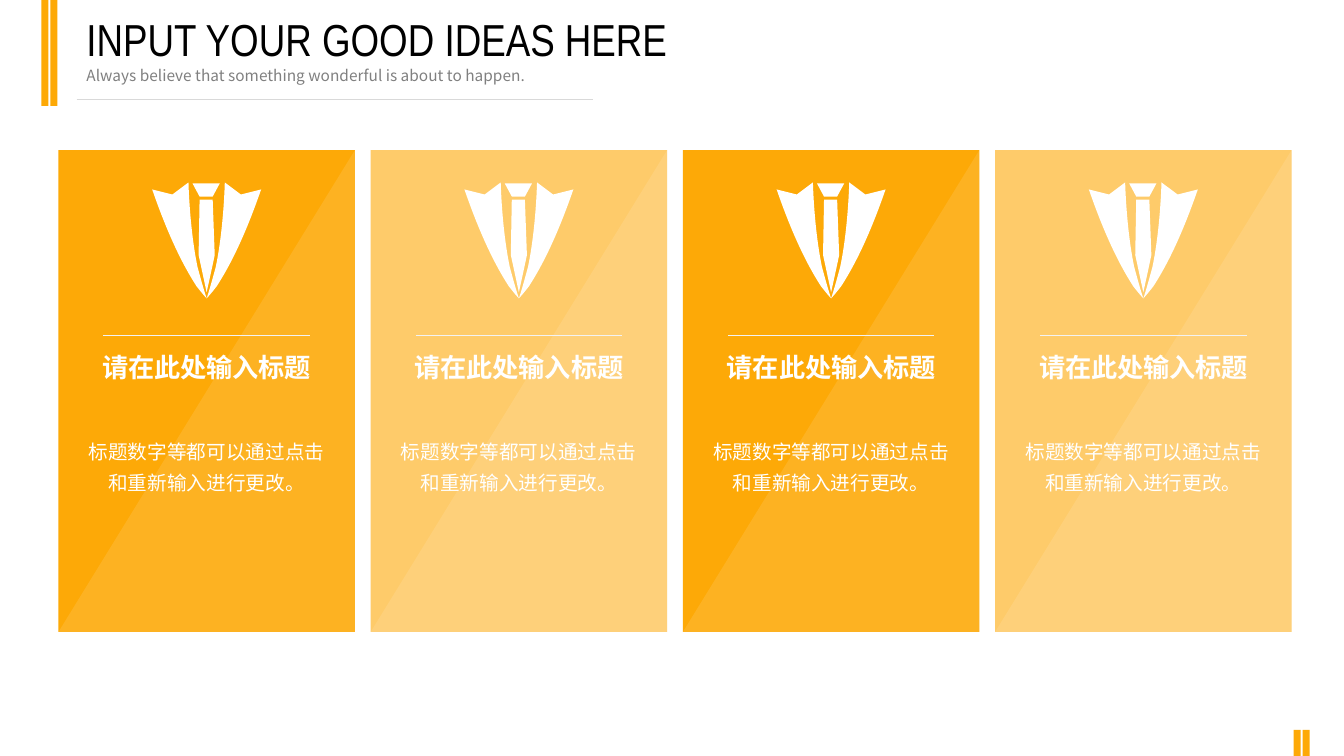
from dataclasses import dataclass

import pptx
import pptx.dml.color
import pptx.enum.shapes
import pptx.enum.text
import pptx.oxml
import pptx.oxml.ns
import pptx.util
from pptx.util import Inches

Point = tuple[float, float]
SHAPES = pptx.enum.shapes.MSO_SHAPE
ALIGN = pptx.enum.text.PP_ALIGN


@dataclass(frozen=True)
class Theme:
    orange: str = "FDA907"
    pale_orange: str = "FECB6A"
    white: str = "FFFFFF"
    card_rule: str = "F2F2F2"
    header_rule: str = "D9D9D9"
    gray: str = "808080"
    black: str = "000000"
    headline_size: float = 32
    tagline_size: float = 11
    card_title_size: float = 18.67
    card_body_size: float = 14
    body_font: str = "Arial"
    headline_font: str = "Arial Narrow"
    tagline_font: str = "Noto Sans CJK SC"


@dataclass(frozen=True)
class Frame:
    left: float
    top: float
    width: float
    height: float


@dataclass(frozen=True)
class TextStyle:
    size: float
    font: str
    color: str
    bold: bool = False
    align: ALIGN = ALIGN.LEFT
    line_spacing: float = 1.0
    space_before: float = 0


@dataclass(frozen=True)
class Card:
    title: str
    body: str
    color: str


THEME = Theme()
CARD_TITLE = TextStyle(THEME.card_title_size, THEME.body_font, THEME.white, True, ALIGN.CENTER)
CARD_BODY = TextStyle(THEME.card_body_size, THEME.body_font, THEME.white, False,
                      ALIGN.CENTER, 1.3, 8)
HEADLINE = TextStyle(THEME.headline_size, THEME.headline_font, THEME.black, space_before=6.4)
TAGLINE = TextStyle(THEME.tagline_size, THEME.tagline_font, THEME.gray, space_before=2.2)

CARDS = [
    Card("请在此处输入标题", "标题数字等都可以通过点击和重新输入进行更改。", color)
    for color in (THEME.orange, THEME.pale_orange) * 2
]
FIRST_LEFT, LAST_LEFT = 0.58, 9.87
CARD_PITCH = (LAST_LEFT - FIRST_LEFT) / (len(CARDS) - 1)
CARD_TOP, CARD_WIDTH, CARD_HEIGHT = 1.49, 2.94, 4.78
TEXT_WIDTH, RULE_WIDTH = 2.58, 2.05

# Suit icon: x runs from the card's centre line, y from the slide's top.
# A step holds one point for a straight edge, three for a cubic curve.
KNOT = [[(-0.14, 1.82)], [(0.13, 1.82)], [(0.06, 1.95)], [(-0.07, 1.95)]]
TIE = [[(-0.08, 2.53)], [(-0.06, 2.62), (0, 2.9), (0, 2.9)],
       [(0, 2.9), (0.06, 2.63), (0.08, 2.53)], [(0.06, 1.98)], [(-0.07, 1.98)]]
RIGHT_LAPEL = [[(0.34, 1.93)], [(0.18, 1.81)],
               [(0.18, 1.81), (0.17, 2.27), (0.09, 2.65)],
               [(0.06, 2.76), (0.03, 2.87), (0, 2.96)],
               [(0, 2.96), (0.03, 2.93), (0.1, 2.84)],
               [(0.19, 2.7), (0.35, 2.43), (0.54, 1.88)]]
LEFT_LAPEL = [[(-x, y) for x, y in step] for step in RIGHT_LAPEL]


def rgb(color: str) -> pptx.dml.color.RGBColor:
    return pptx.dml.color.RGBColor.from_string(color)


def paint(shape, color: str, opacity: int = 100) -> None:
    shape.shadow.inherit = False
    shape.fill.solid()
    shape.fill.fore_color.rgb = rgb(color)
    shape.line.fill.background()
    if opacity < 100:
        tone = shape.fill._xPr.find(".//" + pptx.oxml.ns.qn("a:srgbClr"))
        alpha = pptx.oxml.parse_xml(
            f'<a:alpha {pptx.oxml.ns.nsdecls("a")} val="{opacity * 1000}"/>')
        tone.append(alpha)


def add_block(parent, frame: Frame, color: str, kind=SHAPES.RECTANGLE, opacity: int = 100):
    block = parent.shapes.add_shape(kind, Inches(frame.left), Inches(frame.top),
                                    Inches(frame.width), Inches(frame.height))
    paint(block, color, opacity)
    return block


def add_rule(page, left: float, top: float, width: float, color: str) -> None:
    rule = page.shapes.add_connector(pptx.enum.shapes.MSO_CONNECTOR.STRAIGHT, Inches(left),
                                     Inches(top), Inches(left + width), Inches(top))
    rule.line.color.rgb = rgb(color)
    rule.line.width = pptx.util.Pt(0.75)
    rule._element.spPr.append(
        pptx.oxml.parse_xml(f'<a:effectLst {pptx.oxml.ns.nsdecls("a")}/>'))


def add_text(page, frame: Frame, text: str, style: TextStyle) -> None:
    box = page.shapes.add_textbox(Inches(frame.left), Inches(frame.top),
                                  Inches(frame.width), Inches(frame.height))
    box.text_frame.word_wrap = True
    box.text_frame.auto_size = pptx.enum.text.MSO_AUTO_SIZE.SHAPE_TO_FIT_TEXT
    box.text_frame.text = text
    para = box.text_frame.paragraphs[0]
    para.alignment = style.align
    para.line_spacing = style.line_spacing
    para.space_before = pptx.util.Pt(style.space_before)
    span = para.runs[0]
    span.font.size = pptx.util.Pt(style.size)
    span.font.name = style.font
    span.font.bold = style.bold
    span.font.color.rgb = rgb(style.color)


def add_outline(parent, center: float, steps: list[list[Point]], color: str) -> None:
    corners = [(Inches(center + x), Inches(y)) for step in steps for x, y in step]
    builder = parent.shapes.build_freeform(*corners[0])
    builder.add_line_segments(corners[1:], close=True)
    outline = builder.convert_to_shape()
    paint(outline, color)

    # Merge the three edges of each curved step into one cubic curve
    edges = iter(outline._element.findall(".//" + pptx.oxml.ns.qn("a:lnTo")))
    for step in steps[1:]:
        members = [next(edges) for _ in step]
        if len(step) == 3:
            curve = pptx.oxml.parse_xml(f'<a:cubicBezTo {pptx.oxml.ns.nsdecls("a")}/>')
            members[0].addprevious(curve)
            for member in members:
                curve.append(member[0])
                member.getparent().remove(member)


def add_card(page, card: Card, left: float) -> None:
    center = left + CARD_WIDTH / 2
    text_left = center - TEXT_WIDTH / 2
    frame = Frame(left, CARD_TOP, CARD_WIDTH, CARD_HEIGHT)
    add_block(page, frame, card.color)
    sheen = add_block(page, frame, THEME.white, SHAPES.RIGHT_TRIANGLE, 11)
    sheen._element.spPr.xfrm.set("flipH", "1")
    add_text(page, Frame(text_left, 3.44, TEXT_WIDTH, 0.42), card.title, CARD_TITLE)
    add_text(page, Frame(text_left, 4.25, TEXT_WIDTH, 0.68), card.body, CARD_BODY)
    add_rule(page, center - RULE_WIDTH / 2, 3.33, RULE_WIDTH, THEME.card_rule)


def add_icon(page, center: float) -> None:
    icon = page.shapes.add_group_shape()
    for outline in (KNOT, TIE, LEFT_LAPEL, RIGHT_LAPEL):
        add_outline(icon, center, outline, THEME.white)


def main() -> None:
    deck = pptx.Presentation()
    deck.slide_width, deck.slide_height = Inches(13.33), Inches(7.5)
    page = deck.slides.add_slide(deck.slide_layouts[6])

    # Twin accent bars at the top left and bottom right
    for left, top, height in ((0.41, 0, 1.05), (12.83, 7.24, 0.26)):
        bars = page.shapes.add_group_shape()
        for offset in (0, 0.09):
            add_block(bars, Frame(left + offset, top, 0.07, height), THEME.orange)
    add_rule(page, 0.76, 0.99, 5.12, THEME.header_rule)

    # Row of cards
    lefts = [FIRST_LEFT + index * CARD_PITCH for index in range(len(CARDS))]
    for card, left in zip(CARDS, lefts):
        add_card(page, card, left)

    # Header text
    add_text(page, Frame(0.76, 0.61, 7.06, 0.29),
             "Always believe that something wonderful is about to happen.", TAGLINE)
    add_text(page, Frame(0.76, 0.07, 8.67, 0.64), "INPUT YOUR GOOD IDEAS HERE", HEADLINE)

    # Suit icons
    for left in lefts:
        add_icon(page, left + CARD_WIDTH / 2)

    deck.save("out.pptx")


if __name__ == "__main__":
    main()
